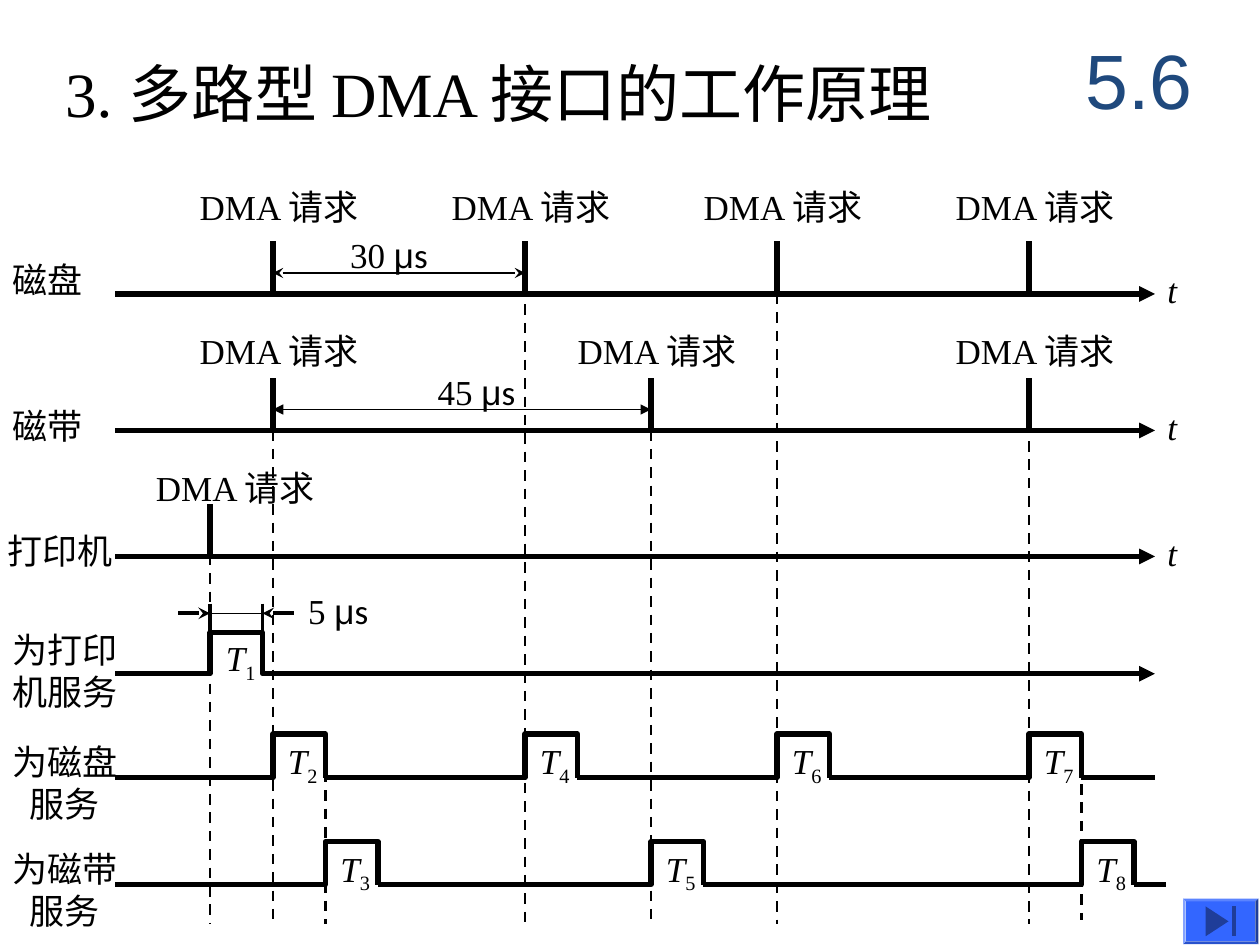
from lxml.etree import SubElement
from pptx import Presentation
from pptx.dml.color import RGBColor
from pptx.enum.dml import MSO_LINE
from pptx.enum.shapes import MSO_CONNECTOR, MSO_SHAPE
from pptx.enum.text import MSO_ANCHOR, MSO_AUTO_SIZE, PP_ALIGN
from pptx.oxml.ns import qn
from pptx.util import Pt

X_START, X_END = 66, 660
PULSE = 30
DISK_TIMES = (156, 300, 444, 588)
TAPE_TIMES = (156, 372, 588)
PRINTER_TIME = 120


def rgb(color):
    return RGBColor.from_string(color)


class TimingSlide:
    font = "Times New Roman"
    size = 20
    ink = "000000"

    def __init__(self, prs):
        self.s = prs.slides.add_slide(prs.slide_layouts[5])

    def style_run(self, r, font=None, size=None, color=None, italic=False):
        r.font.name = font or self.font
        r.font.size = Pt(size or self.size)
        r.font.color.rgb = rgb(color or self.ink)
        r.font.italic = italic

    def title(self, text, x, y, w, h, size):
        sp = self.s.shapes.title
        sp.left, sp.top, sp.width, sp.height = Pt(x), Pt(y), Pt(w), Pt(h)
        tf = sp.text_frame
        tf.text = text
        tf.word_wrap = False
        tf.auto_size = MSO_AUTO_SIZE.SHAPE_TO_FIT_TEXT
        tf.vertical_anchor = MSO_ANCHOR.TOP
        tf.paragraphs[0].alignment = PP_ALIGN.LEFT
        self.style_run(tf.paragraphs[0].runs[0], size=size)

    def box(self, x, y, w, h):
        tf = self.s.shapes.add_textbox(Pt(x), Pt(y), Pt(w), Pt(h)).text_frame
        tf.word_wrap = False
        tf.auto_size = MSO_AUTO_SIZE.SHAPE_TO_FIT_TEXT
        return tf

    def label(self, text, x, y, w, h=31.5, align=PP_ALIGN.LEFT, **style):
        tf = self.box(x, y, w, h)
        tf.text = text
        for p in tf.paragraphs:
            p.alignment = align
            self.style_run(p.runs[0], **style)
        return tf

    def section_number(self, text, x, y, w, h):
        tf = self.label(text, x, y, w, h, PP_ALIGN.CENTER,
                        font="Arial", size=44, color="1F497D")
        tf.auto_size = MSO_AUTO_SIZE.NONE
        tf.word_wrap = True
        tf.vertical_anchor = MSO_ANCHOR.MIDDLE

    def duration(self, number, x, y, w):
        p = self.box(x, y, w, 31.5).paragraphs[0]
        for text, font in ((f"{number} ", self.font), ("μ", "Arial"), ("s", "Calibri")):
            r = p.add_run()
            r.text = text
            self.style_run(r, font=font)

    def pulse_name(self, number, x, y):
        """Write an italic T with a subscript number."""
        p = self.box(x, y, 36, 34.5).paragraphs[0]
        for text, italic in (("T", True), (str(number), False)):
            r = p.add_run()
            r.text = text
            self.style_run(r, italic=italic)
        r._r.get_or_add_rPr().set("baseline", "-25000")

    def style_line(self, sp, width, dashed=False, head=None, tail=None):
        sp.line.color.rgb = rgb(self.ink)
        sp.line.width = Pt(width)
        if dashed:
            sp.line.dash_style = MSO_LINE.DASH
        ln = sp.line._get_or_add_ln()
        for tag, kind in (("a:headEnd", head), ("a:tailEnd", tail)):
            if kind:
                SubElement(ln, qn(tag), type=kind)

    def line(self, x1, y1, x2, y2, width=3, **ends):
        sp = self.s.shapes.add_connector(
            MSO_CONNECTOR.STRAIGHT, Pt(x1), Pt(y1), Pt(x2), Pt(y2))
        self.style_line(sp, width, **ends)
        SubElement(sp._element.spPr, qn("a:effectLst"))

    def outline(self, points, close=False):
        start, *rest = [(Pt(x), Pt(y)) for x, y in points]
        builder = self.s.shapes.build_freeform(*start)
        builder.add_line_segments(rest, close=close)
        sp = builder.convert_to_shape()
        sp.shadow.inherit = False
        return sp

    def wave(self, points, **ends):
        sp = self.outline(points)
        sp.fill.background()
        self.style_line(sp, 3, **ends)

    def service(self, text, y, top, pulses, end):
        """Draw a service lane, one segment for each (number, start) pulse."""
        x = X_START
        for number, start in pulses:
            stop = start + PULSE
            self.wave([(x, y), (start, y), (start, top), (stop, top), (stop, y)])
            self.pulse_name(number, start + 1.5, top - 0.5)
            x = stop
        self.line(x, y, end, y)
        self.label(text, -2, top, 78, 55.5, PP_ALIGN.CENTER)

    def requests(self, text, x, text_y, y, tick, times, label_y, shift=49):
        """Draw a device's time axis with its DMA requests."""
        self.line(X_START, y, X_END, y, tail="triangle")
        for time in times:
            self.line(time, tick, time, y)
            self.label("DMA 请求", time - shift, label_y, 113)
        self.label(text, x, text_y, 18 + self.size * len(text))
        self.label("t", X_END, y - 18, 21, italic=True)

    def solid(self, sp, color):
        sp.fill.solid()
        sp.fill.fore_color.rgb = rgb(color)
        sp.line.fill.background()

    def end_button(self, x, y, w, h):
        sp = self.s.shapes.add_shape(MSO_SHAPE.BEVEL, Pt(x), Pt(y), Pt(w), Pt(h))
        sp.adjustments[0] = 0.06
        sp.shadow.inherit = False
        self.solid(sp, "3366FF")
        top, middle, bottom = y + 4.5, y + h / 2, y + h - 4.5
        triangle = [(x + 13, top), (x + 26, middle), (x + 13, bottom)]
        bar = [(x + 28, top), (x + 30, top), (x + 30, bottom), (x + 28, bottom)]
        for points in (triangle, bar):
            self.solid(self.outline(points, close=True), "1F3D99")


def main():
    prs = Presentation()
    prs.slide_width, prs.slide_height = Pt(720), Pt(540)
    slide = TimingSlide(prs)
    slide.title("3. 多路型 DMA 接口的工作原理", 30, 27.5, 537, 50.5, 36)
    slide.section_number("5.6", 606, 12, 90, 66)

    slide.service("为磁盘\n服务", 444.5, 419.5, zip((2, 4, 6, 7), DISK_TIMES), X_END)
    tape_starts = (DISK_TIMES[0] + PULSE, TAPE_TIMES[1], DISK_TIMES[-1] + PULSE)
    slide.service("为磁带\n服务", 505.5, 481, zip((3, 5, 8), tape_starts), 666)

    y, top, arrow_y = 385, 361.5, 350.5
    start, stop = PRINTER_TIME, PRINTER_TIME + PULSE
    slide.label("为打印\n机服务", 0, 355.5, 78, 55.5)
    slide.wave([(X_START, y), (start, y), (start, top), (stop, top), (stop, y),
                (X_END, y)], tail="triangle")
    slide.pulse_name(1, start + 2, top - 1.5)
    for x, outside in ((start, start - 18), (stop, stop + 18)):
        slide.line(x, 345, x, 363, 2.25)
        slide.line(outside, arrow_y, x, arrow_y, 2.25, tail="stealth")
    slide.line(start, arrow_y, stop, arrow_y, 0.75)
    slide.duration(5, 169, 333.5, 56)

    for x, y1, y2 in ((156, 246, 528), (300, 174, 528), (444, 168, 528),
                      (588, 252, 528), (372, 246, 528), (120, 317, 528),
                      (186, 420, 528), (618, 427, 525.5)):
        slide.line(x, y1, x, y2, 1.5, dashed=True)

    slide.requests("打印机", -3, 299, 318, 288, [PRINTER_TIME], 263, 38)
    slide.requests("磁带", 0, 227.5, 246, 216, TAPE_TIMES, 185)
    slide.requests("磁盘", 0, 144, 168, 138, DISK_TIMES, 102.5)
    for number, times, y, head, x, text_y in (
            (45, TAPE_TIMES, 234, "triangle", 243, 208),
            (30, DISK_TIMES, 156, "stealth", 193, 130)):
        slide.line(times[0], y, times[1], y, 1, head=head, tail=head)
        slide.duration(number, x, text_y, 66)
    slide.end_button(676, 513.5, 43, 26)
    prs.save("out.pptx")


if __name__ == "__main__":
    main()
